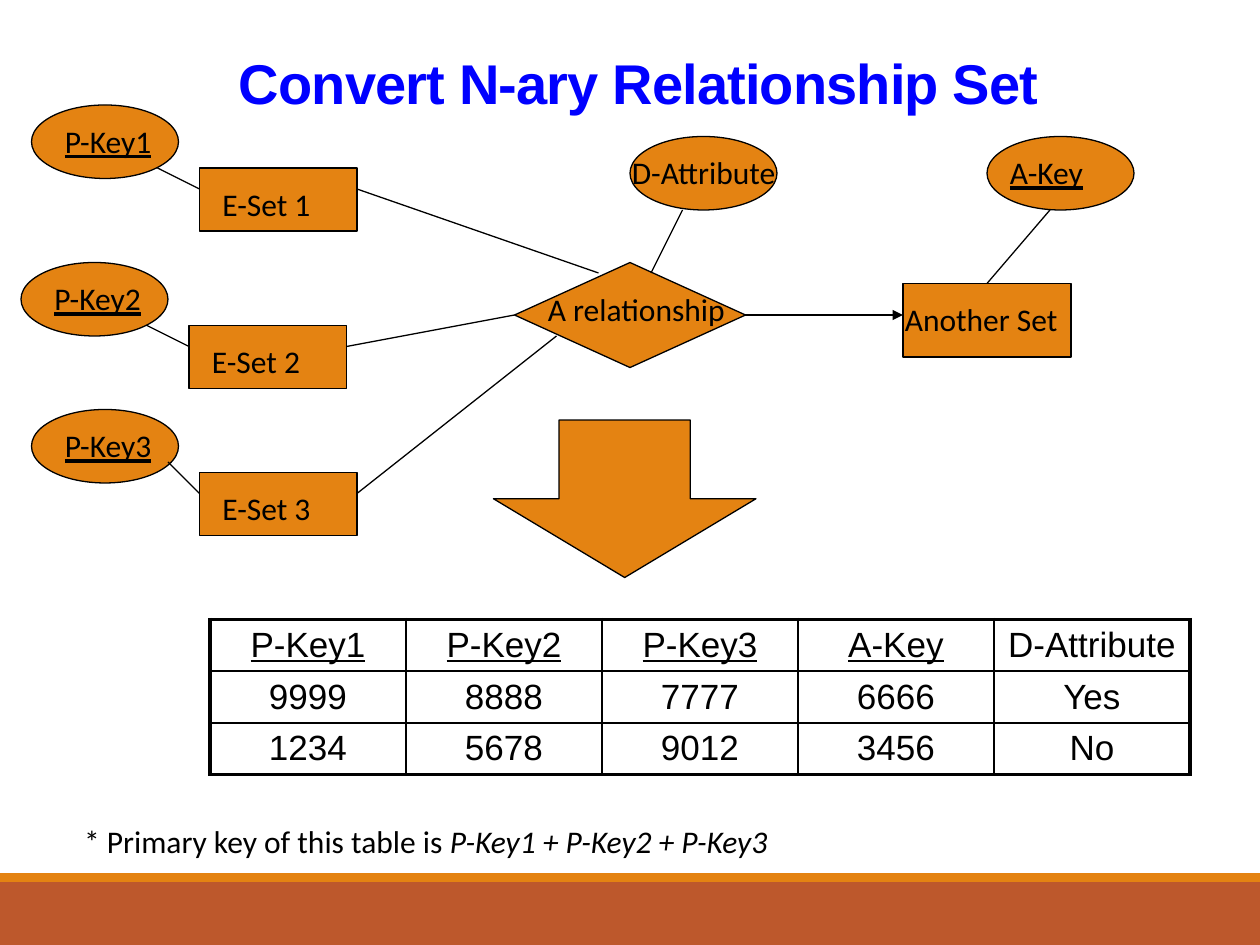
from dataclasses import dataclass

from lxml import etree
from pptx import Presentation
from pptx.dml.color import RGBColor
from pptx.enum import shapes, text
from pptx.oxml import ns
from pptx.util import Pt

KIND = shapes.MSO_SHAPE
LEFT, CENTER = text.PP_ALIGN.LEFT, text.PP_ALIGN.CENTER
TOP, SIDE_LEFT, SIDE_RIGHT = 0, 1, 3


@dataclass(frozen=True)
class Theme:
    orange: str = "E48312"
    rust: str = "BD582C"
    blue: str = "0000FF"
    black: str = "000000"
    white: str = "FFFFFF"
    heading: str = "Arial"
    body: str = "Calibri"
    title_size: float = 32
    table_size: float = 20
    label_size: float = 18
    thin: float = 0.75
    grid: float = 1
    frame: float = 2.25


@dataclass(frozen=True)
class Node:
    """A diagram shape and its label, which is offset from the shape's corner."""
    kind: shapes.MSO_SHAPE
    x: float
    y: float
    w: float
    h: float
    label: str = ""
    dx: float = 6
    dy: float = 6
    label_w: float = 78
    underline: bool = False


@dataclass(frozen=True)
class Link:
    start: tuple
    end: tuple
    arrow: bool = False
    begin_at: tuple = ()
    end_at: tuple = ()


T = Theme()


def rgb(color: str) -> RGBColor:
    return RGBColor.from_string(color)


def write(p, content: str, *, font=T.body, size=T.label_size, color=T.black,
          bold=False, italic=False, underline=False, align=LEFT):
    p.alignment = align
    r = p.add_run()
    r.text = content
    f = r.font
    f.name, f.size, f.color.rgb = font, Pt(size), rgb(color)
    f.bold, f.italic, f.underline = bold, italic, underline
    return r


def add_text_box(s, x: float, y: float, w: float, h: float = 29):
    """Return the first paragraph of a new wrapping text box."""
    tf = s.shapes.add_textbox(Pt(x), Pt(y), Pt(w), Pt(h)).text_frame
    tf.word_wrap = True
    tf.auto_size = text.MSO_AUTO_SIZE.SHAPE_TO_FIT_TEXT
    return tf.paragraphs[0]


def add_filled(s, kind, x: float, y: float, w: float, h: float,
               fill: str = T.orange, outlined: bool = True):
    sp = s.shapes.add_shape(kind, Pt(x), Pt(y), Pt(w), Pt(h))
    sp.shadow.inherit = False
    sp.fill.solid()
    sp.fill.fore_color.rgb = rgb(fill)
    if outlined:
        sp.line.color.rgb = rgb(T.black)
        sp.line.width = Pt(T.thin)
    else:
        sp.line.fill.background()
    return sp


def add_node(s, node: Node):
    sp = add_filled(s, node.kind, node.x, node.y, node.w, node.h)
    if node.label:
        p = add_text_box(s, node.x + node.dx, node.y + node.dy, node.label_w)
        write(p, node.label, underline=node.underline)
    return sp


def add_link(s, link: Link, drawn: dict) -> None:
    c = s.shapes.add_connector(shapes.MSO_CONNECTOR.STRAIGHT,
                               *map(Pt, link.start + link.end))
    c.line.color.rgb = rgb(T.black)
    c.line.width = Pt(T.thin)
    if link.arrow:
        etree.SubElement(c.line._get_or_add_ln(), ns.qn("a:tailEnd"), type="triangle")
    etree.SubElement(c._element.spPr, ns.qn("a:effectLst"))
    if link.begin_at:
        c.begin_connect(drawn[link.begin_at[0]], link.begin_at[1])
    if link.end_at:
        c.end_connect(drawn[link.end_at[0]], link.end_at[1])


def set_borders(cell, **widths: float) -> None:
    """Draw the borders, given as L, R, T and B in points."""
    tc_pr = cell._tc.get_or_add_tcPr()
    for side, width in widths.items():
        ln = etree.SubElement(tc_pr, ns.qn(f"a:ln{side}"), w=str(Pt(width)))
        fill = etree.SubElement(ln, ns.qn("a:solidFill"))
        etree.SubElement(fill, ns.qn("a:srgbClr"), val=T.black)


def add_key_table(s, rows: list, x: float, y: float, col_w: float, row_h: float) -> None:
    n_rows, n_cols = len(rows), len(rows[0])
    table = s.shapes.add_table(n_rows, n_cols, Pt(x), Pt(y),
                               Pt(col_w * n_cols), Pt(row_h * n_rows)).table
    table.first_row = table.horz_banding = False
    for i, row in enumerate(rows):
        for j, value in enumerate(row):
            cell = table.cell(i, j)
            set_borders(cell,
                        L=T.frame if j == 0 else T.grid,
                        R=T.frame if j == n_cols - 1 else T.grid,
                        T=T.frame if i == 0 else T.grid,
                        B=T.frame if i == n_rows - 1 else T.grid)
            cell.fill.solid()
            cell.fill.fore_color.rgb = rgb(T.white)
            write(cell.text_frame.paragraphs[0], value, font=T.heading,
                  size=T.table_size, align=CENTER,
                  underline=i == 0 and "Key" in value)


def add_title(s, content: str) -> None:
    sp = s.shapes.title
    sp.left, sp.top, sp.width, sp.height = Pt(41), Pt(30), Pt(648), Pt(90)
    tf = sp.text_frame
    tf.auto_size = text.MSO_AUTO_SIZE.NONE
    tf.vertical_anchor = text.MSO_ANCHOR.TOP
    p = tf.paragraphs[0]
    p.line_spacing = 0.85
    r = write(p, content, font=T.heading, size=T.title_size, color=T.blue,
              bold=True, align=CENTER)
    r._r.get_or_add_rPr().set("spc", "-50")


def build_diagram(s) -> None:
    nodes = [
        Node(KIND.FLOWCHART_DECISION, 294, 150, 132, 60, "A relationship", 12, 12, 126),
        Node(KIND.RECTANGLE, 516, 162, 96, 42, "Another Set", -6, 6, 114),
        Node(KIND.DOWN_ARROW, 282, 240, 150, 90),
        Node(KIND.OVAL, 360, 78, 84, 42, "D-Attribute", -6, 6, 102),
        Node(KIND.OVAL, 564, 78, 84, 42, "A-Key", underline=True),
    ]
    links = [
        Link((426, 180), (516, 180), arrow=True, begin_at=("A relationship", SIDE_RIGHT)),
        Link((372, 156), (390, 120)),
        Link((600, 120), (564, 162), end_at=("Another Set", TOP)),
    ]
    # key corner, where its line leaves the key, where the set meets the diamond
    entity_sets = [
        ((18, 60), (72, 36), (342, 156), ()),
        ((12, 150), (72, 36), (294, 180), ("A relationship", SIDE_LEFT)),
        ((18, 234), (78, 30), (318, 192), ()),
    ]
    for i, ((x, y), (out_x, out_y), target, joint) in enumerate(entity_sets, 1):
        set_x, set_y, set_w = x + 96, y + 36, 90
        nodes += [
            Node(KIND.RECTANGLE, set_x, set_y, set_w, 36, f"E-Set {i}"),
            Node(KIND.OVAL, x, y, 84, 42, f"P-Key{i}", dx=12, underline=True),
        ]
        links += [
            Link((x + out_x, y + out_y), (set_x, set_y + 12)),
            Link((set_x + set_w, set_y + 12), target, end_at=joint),
        ]
    drawn = {node.label: add_node(s, node) for node in nodes}
    for link in links:
        add_link(s, link, drawn)


def main() -> None:
    prs = Presentation()
    prs.slide_width, prs.slide_height = Pt(720), Pt(540)
    s = prs.slides.add_slide(prs.slide_layouts[5])

    add_filled(s, KIND.RECTANGLE, 0, 504, 720, 36, T.rust, outlined=False)
    add_filled(s, KIND.RECTANGLE, 0, 499, 720, 5, outlined=False)
    add_title(s, "Convert N-ary Relationship Set")
    add_key_table(s, [
        ["P-Key1", "P-Key2", "P-Key3", "A-Key", "D-Attribute"],
        ["9999", "8888", "7777", "6666", "Yes"],
        ["1234", "5678", "9012", "3456", "No"],
    ], x=120, y=354, col_w=112, row_h=26)
    build_diagram(s)

    p = add_text_box(s, 41, 466, 654)
    write(p, "* Primary key of this table is ")
    write(p, "P-Key1 + P-Key2 + P-Key3", italic=True)
    prs.save("out.pptx")


if __name__ == "__main__":
    main()
